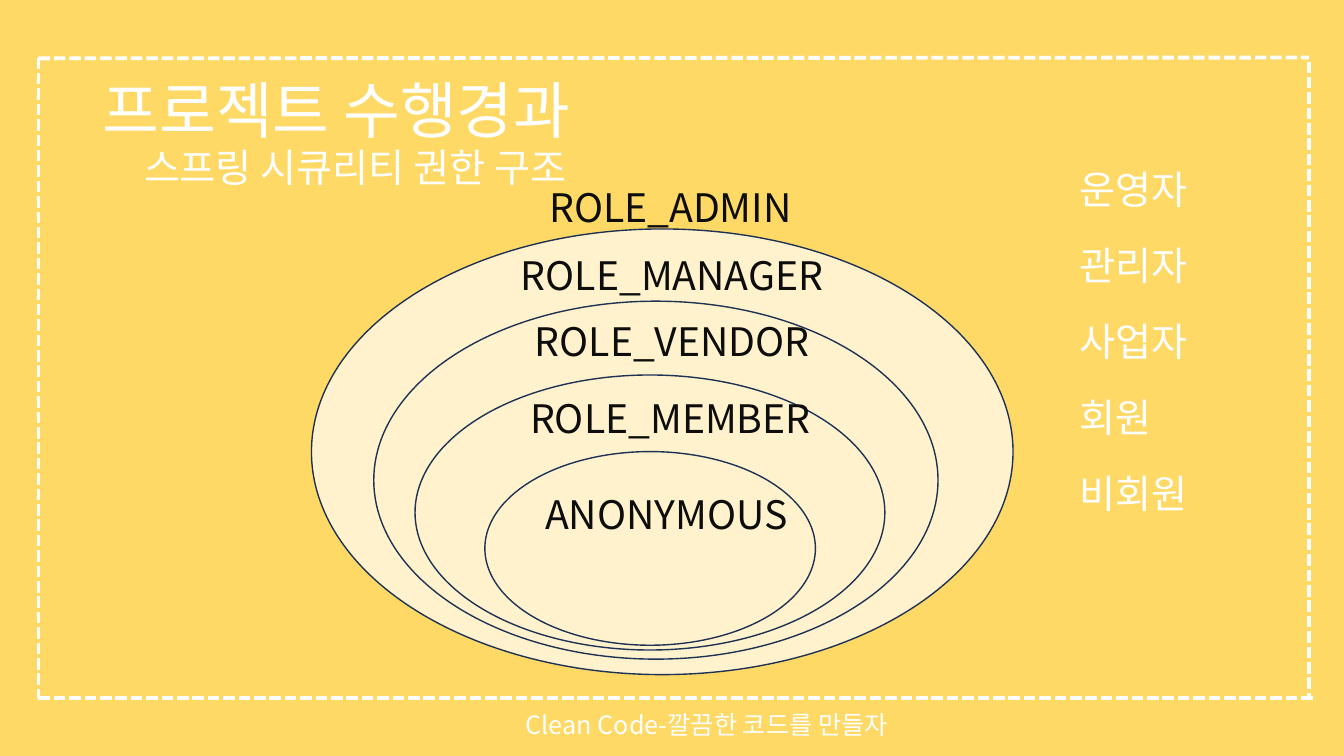
import dataclasses
import typing

import lxml.etree
import pptx
import pptx.dml.color
import pptx.enum.dml
import pptx.enum.shapes
import pptx.enum.text
import pptx.oxml.ns
import pptx.util

Cm = pptx.util.Cm
Pt = pptx.util.Pt
qn = pptx.oxml.ns.qn
FONT = "Noto Sans CJK KR"
HUES = {"back": "FFD966", "white": "FFFFFF", "ink": "0D0D0D", "pale": "FFF2CC", "navy": "1E3256"}


@dataclasses.dataclass(frozen=True)
class Box:
    left: float
    top: float
    width: float
    height: float

    def place(self) -> tuple:
        return Cm(self.left), Cm(self.top), Cm(self.width), Cm(self.height)


@dataclasses.dataclass(frozen=True)
class Label:
    text: str
    box: Box
    size: int = 28
    hue: str = "ink"
    pitch: float = 0.9
    middle: bool = True


@dataclasses.dataclass(frozen=True)
class Role:
    label: Label
    ring: typing.Optional[Box] = None


@dataclasses.dataclass(frozen=True)
class Edge:
    x1: float
    y1: float
    x2: float
    y2: float


TITLE = Label("프로젝트 수행경과", Box(2.34, 1.02, 29.21, 3.68), 44, "white")
TOPIC = Label("스프링 시큐리티 권한 구조", Box(3.38, 2.44, 29.21, 3.68), 28, "white")
MOTTO = Label("Clean Code-깔끔한 코드를 만들자", Box(13, 17.75, 16.94, 1.02), 18, "white", 1.0, False)
USERS = Label("운영자\n관리자\n사업자\n회원\n비회원", Box(26.95, 3.33, 8.66, 10.67), 28, "white")
EDGES = [
    Edge(0.97, 1.47, 32.99, 1.45),
    Edge(0.97, 17.58, 33.15, 17.58),
    Edge(0.97, 1.45, 0.97, 17.58),
    Edge(32.99, 1.55, 32.99, 17.58),
]
ROLES = [
    Role(Label("ROLE_ADMIN", Box(13.59, 3.99, 6.73, 2.59)), Box(7.85, 5.77, 17.68, 11.23)),
    Role(Label("ROLE_MANAGER", Box(12.88, 6.17, 8.38, 1.68)), Box(9.42, 7.59, 14.22, 9.02)),
    Role(Label("ROLE_VENDOR", Box(13.23, 7.85, 8.66, 1.63)), Box(10.46, 9.45, 11.84, 6.93)),
    Role(Label("ROLE_MEMBER", Box(13.11, 9.8, 8.66, 1.63)), Box(12.22, 11.38, 8.33, 4.88)),
    Role(Label("ANONYMOUS", Box(13.49, 12.22, 8.66, 1.63))),
]


def tint(name: str) -> pptx.dml.color.RGBColor:
    return pptx.dml.color.RGBColor.from_string(HUES[name])


def write(shape, label: Label, gap: float = 0) -> None:
    shape.left, shape.top, shape.width, shape.height = label.box.place()
    frame = shape.text_frame
    frame.text = label.text
    frame.word_wrap = True
    frame.auto_size = pptx.enum.text.MSO_AUTO_SIZE.NONE
    anchor = pptx.enum.text.MSO_ANCHOR
    frame.vertical_anchor = anchor.MIDDLE if label.middle else anchor.TOP
    for rank, para in enumerate(frame.paragraphs):
        para.alignment = pptx.enum.text.PP_ALIGN.LEFT
        para.line_spacing = label.pitch
        para.space_before = Pt(gap if rank else 0)
        para.font.name = FONT
        para.font.size = Pt(label.size)
        para.font.color.rgb = tint(label.hue)


def strip(shape) -> None:
    for para in shape.text_frame.paragraphs:
        props = para._p.get_or_add_pPr()
        props.set("marL", "0")
        props.set("indent", "0")
        mark = lxml.etree.Element(qn("a:buNone"))
        props.find(qn("a:defRPr")).addprevious(mark)


def note(slide, label: Label) -> None:
    write(slide.shapes.add_textbox(*label.box.place()), label)


def dash(slide, edge: Edge) -> None:
    line = slide.shapes.add_connector(
        pptx.enum.shapes.MSO_CONNECTOR.STRAIGHT,
        Cm(edge.x1), Cm(edge.y1), Cm(edge.x2), Cm(edge.y2),
    )
    line.line.color.rgb = tint("white")
    line.line.width = Pt(2.75)
    line.line.dash_style = pptx.enum.dml.MSO_LINE.SQUARE_DOT
    lxml.etree.SubElement(line._element.spPr, qn("a:effectLst"))


def oval(slide, box: Box) -> None:
    ring = slide.shapes.add_shape(pptx.enum.shapes.MSO_SHAPE.OVAL, *box.place())
    ring.shadow.inherit = False
    ring.fill.solid()
    ring.fill.fore_color.rgb = tint("pale")
    ring.line.color.rgb = tint("navy")
    ring.line.width = Pt(1)


def main() -> None:
    deck = pptx.Presentation()
    deck.slide_width = Cm(33.87)
    deck.slide_height = Cm(19.05)
    slide = deck.slides.add_slide(deck.slide_layouts[1])
    slide.background.fill.solid()
    slide.background.fill.fore_color.rgb = tint("back")
    write(slide.shapes.title, TITLE)
    users = slide.placeholders[1]
    write(users, USERS, 24)
    strip(users)
    for edge in EDGES:
        dash(slide, edge)
    note(slide, MOTTO)
    note(slide, TOPIC)
    for role in ROLES:
        note(slide, role.label)
        if role.ring:
            oval(slide, role.ring)
    deck.save("out.pptx")


if __name__ == "__main__":
    main()
